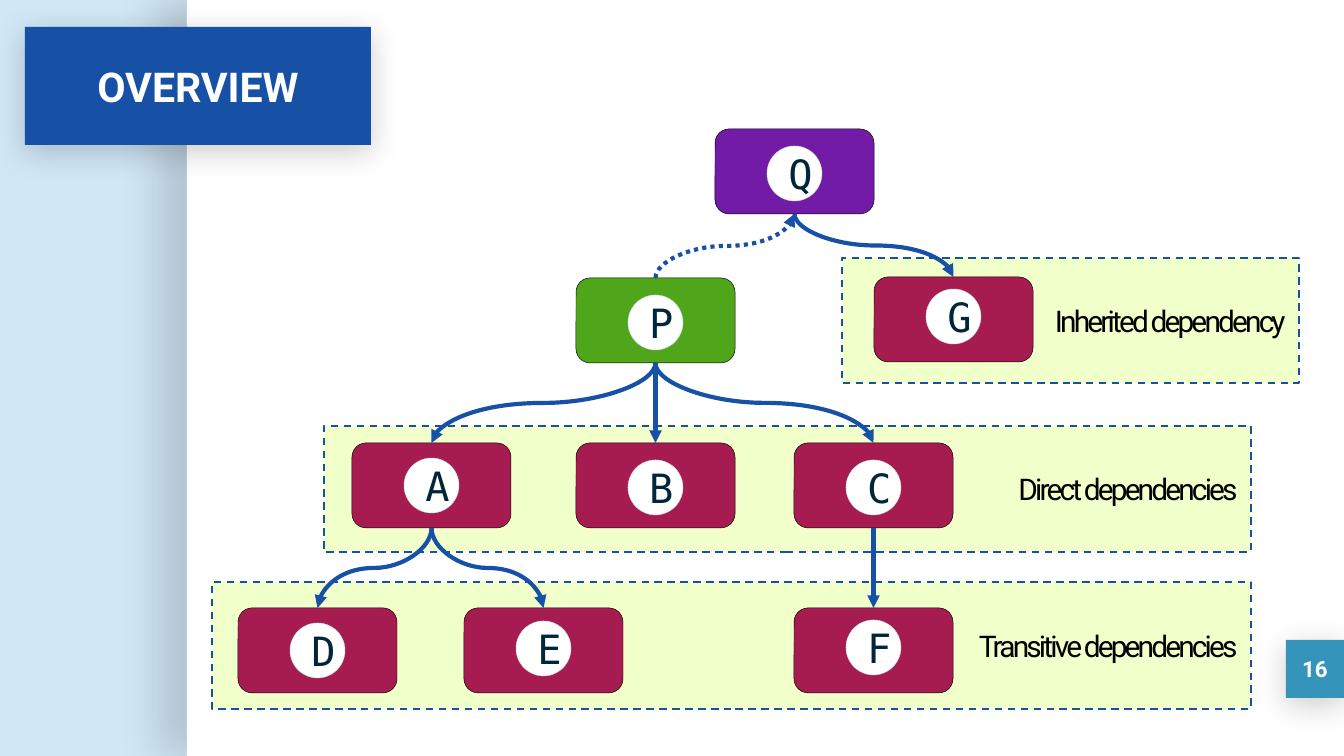
from dataclasses import dataclass

from lxml.etree import SubElement
from pptx import Presentation
from pptx.dml.color import RGBColor
from pptx.enum.dml import MSO_LINE
from pptx.enum.shapes import MSO_CONNECTOR, MSO_SHAPE
from pptx.enum.text import MSO_ANCHOR, MSO_AUTO_SIZE, PP_ALIGN
from pptx.oxml.ns import qn
from pptx.util import Emu, Pt


@dataclass(frozen=True)
class Theme:
    page: str = "D1E7F6"
    panel: str = "FFFFFF"
    blue: str = "1751A6"
    teal: str = "3494BA"
    band: str = "F1FFCA"
    root: str = "711BA6"
    project: str = "50A61B"
    dependency: str = "A61B50"
    rim: str = "CEDBE6"
    letter: str = "012639"
    black: str = "000000"
    white: str = "FFFFFF"
    sans: str = "Roboto"
    mono: str = "DejaVu Sans Mono"
    title_size: float = 22
    number_size: float = 12
    band_size: float = 16
    letter_size: float = 21.6


THEME = Theme()
NODE_W, NODE_H, DISC = 159, 85, 55

# Name: left, top, colour, distance from node top to disc top
NODES = {
    "Q": (715, 129, THEME.root, 17),
    "P": (576, 278, THEME.project, 17),
    "G": (874, 277, THEME.dependency, 12),
    "A": (352, 443, THEME.dependency, 15),
    "B": (576, 443, THEME.dependency, 17),
    "C": (794, 443, THEME.dependency, 17),
    "D": (238, 608, THEME.dependency, 15),
    "E": (464, 608, THEME.dependency, 13),
    "F": (794, 608, THEME.dependency, 12),
}
EDGES = ["PA", "PB", "PC", "AD", "AE", "CF", "QG"]
BANDS = [
    ("Transitive dependencies", (212, 582, 1039, 127)),
    ("Inherited dependency", (842, 258, 457, 125)),
    ("Direct dependencies", (324, 426, 927, 126)),
]


def px(n):
    return Emu(round(n * 914400 / 134.4))


def rgb(color):
    return RGBColor.from_string(color)


def add_shadow(sp, alpha, blur, dist, angle):
    """Add an outer shadow: alpha in percent, blur and dist in points."""
    effects = sp._element.spPr.find(qn("a:effectLst"))
    if effects is None:
        effects = SubElement(sp._element.spPr, qn("a:effectLst"))
    shadow = SubElement(effects, qn("a:outerShdw"), blurRad=str(Pt(blur)),
                        dist=str(Pt(dist)), dir=str(angle * 60000),
                        algn="bl", rotWithShape="0")
    color = SubElement(shadow, qn("a:srgbClr"), val=THEME.black)
    SubElement(color, qn("a:alpha"), val=str(alpha * 1000))


def add_box(s, kind, box, fill, line=None, width=0.25):
    sp = s.shapes.add_shape(kind, *map(px, box))
    sp.shadow.inherit = False
    sp.fill.solid()
    sp.fill.fore_color.rgb = rgb(fill)
    if line:
        sp.line.color.rgb = rgb(line)
        sp.line.width = Pt(width)
    else:
        sp.line.fill.background()
    return sp


def set_text(sp, text, size, font, color, align=PP_ALIGN.CENTER, bold=False):
    tf = sp.text_frame
    tf.word_wrap = True
    tf.auto_size = MSO_AUTO_SIZE.NONE
    tf.vertical_anchor = MSO_ANCHOR.MIDDLE
    p = tf.paragraphs[0]
    p.alignment = align
    r = p.add_run()
    r.text = text
    r.font.size = Pt(size)
    r.font.name = font
    r.font.bold = bold
    r.font.color.rgb = rgb(color)
    return r


def pad(sp, inset):
    tf = sp.text_frame
    tf.margin_left = tf.margin_right = px(inset)
    tf.margin_top = tf.margin_bottom = px(inset)


def add_panel(s, box):
    sp = add_box(s, MSO_SHAPE.RECTANGLE, box, THEME.panel)
    add_shadow(sp, 15, 22.5, 15, 180)


def add_title(s, box, text):
    sp = s.shapes.title
    s.shapes._spTree.append(sp._element)  # bring in front of the panel
    sp.left, sp.top, sp.width, sp.height = map(px, box)
    sp.fill.solid()
    sp.fill.fore_color.rgb = rgb(THEME.blue)
    add_shadow(sp, 20, 16.9, 3.8, 90)
    set_text(sp, text, THEME.title_size, THEME.sans, THEME.white, bold=True)
    pad(sp, 13)


def add_page_number(s, box, text):
    sp = add_box(s, MSO_SHAPE.RECTANGLE, box, THEME.teal)
    add_shadow(sp, 20, 16.9, 3.8, 90)
    set_text(sp, text, THEME.number_size, THEME.sans, THEME.white, bold=True)
    pad(sp, 13)


def add_band(s, box, text):
    sp = add_box(s, MSO_SHAPE.RECTANGLE, box, THEME.band, THEME.blue, 1)
    sp.line.dash_style = MSO_LINE.DASH
    r = set_text(sp, text, THEME.band_size, THEME.sans, THEME.black,
                 PP_ALIGN.RIGHT)
    r._r.get_or_add_rPr().set("spc", "-150")


def add_node(s, box, name, color, disc_top):
    x, y, w, h = box
    add_box(s, MSO_SHAPE.ROUNDED_RECTANGLE, box, color, THEME.black)
    disc = (x + (w - DISC) / 2, y + disc_top, DISC, DISC)
    sp = add_box(s, MSO_SHAPE.OVAL, disc, THEME.white, THEME.rim)
    set_text(sp, name, THEME.letter_size, THEME.mono, THEME.letter)


def add_arrow(s, start, end, dash=None):
    """Join two points; a curve is a quarter-turned S that ends vertically."""
    (x1, y1), (x2, y2) = start, end
    dx, dy = x2 - x1, y2 - y1
    if dx == 0:
        cxn = s.shapes.add_connector(MSO_CONNECTOR.STRAIGHT,
                                     *map(px, (x1, y1, x2, y2)))
    else:
        turn = 270 if dx * dy > 0 else 90
        w, h = (-dy, dx) if turn == 270 else (dy, -dx)
        cx, cy = (x1 + x2) / 2, (y1 + y2) / 2
        ends = (cx - w / 2, cy - h / 2, cx + w / 2, cy + h / 2)
        cxn = s.shapes.add_connector(MSO_CONNECTOR.CURVE, *map(px, ends))
        xfrm = cxn._element.spPr.find(qn("a:xfrm"))
        xfrm.set("rot", str(turn * 60000))
    cxn.line.color.rgb = rgb(THEME.blue)
    cxn.line.width = Pt(2.25)
    if dash:
        cxn.line.dash_style = dash
    SubElement(cxn.line._get_or_add_ln(), qn("a:tailEnd"), type="triangle")
    SubElement(cxn._element.spPr, qn("a:effectLst"))


def top_of(name):
    x, y = NODES[name][:2]
    return x + NODE_W / 2, y


def bottom_of(name):
    x, y = top_of(name)
    return x, y + NODE_H


def add_dependency_tree(s):
    for text, box in BANDS:
        add_band(s, box, text)
    for name, (x, y, color, disc_top) in NODES.items():
        add_node(s, (x, y, NODE_W, NODE_H), name, color, disc_top)
    for parent, child in EDGES:
        add_arrow(s, bottom_of(parent), top_of(child))
    add_arrow(s, top_of("P"), bottom_of("Q"), MSO_LINE.ROUND_DOT)


def main():
    prs = Presentation()
    prs.slide_width, prs.slide_height = px(1344), px(756)
    s = prs.slides.add_slide(prs.slide_layouts[5])
    s.background.fill.solid()
    s.background.fill.fore_color.rgb = rgb(THEME.page)
    add_panel(s, (187, 0, 1157, 756))
    add_page_number(s, (1286, 640, 58, 58), "16")
    add_title(s, (25, 27, 346, 118), "OVERVIEW")
    add_dependency_tree(s)
    prs.save("out.pptx")


if __name__ == "__main__":
    main()
